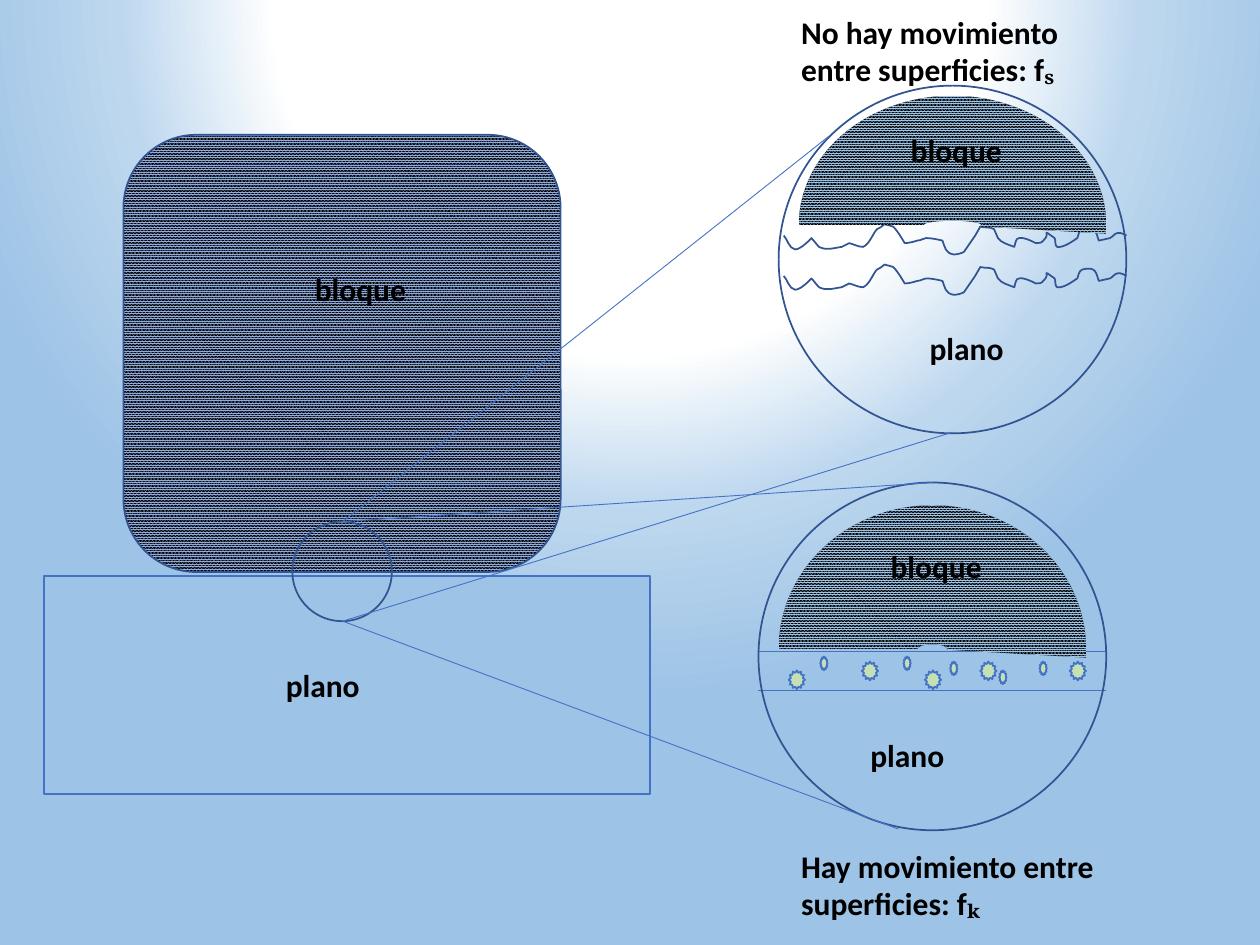
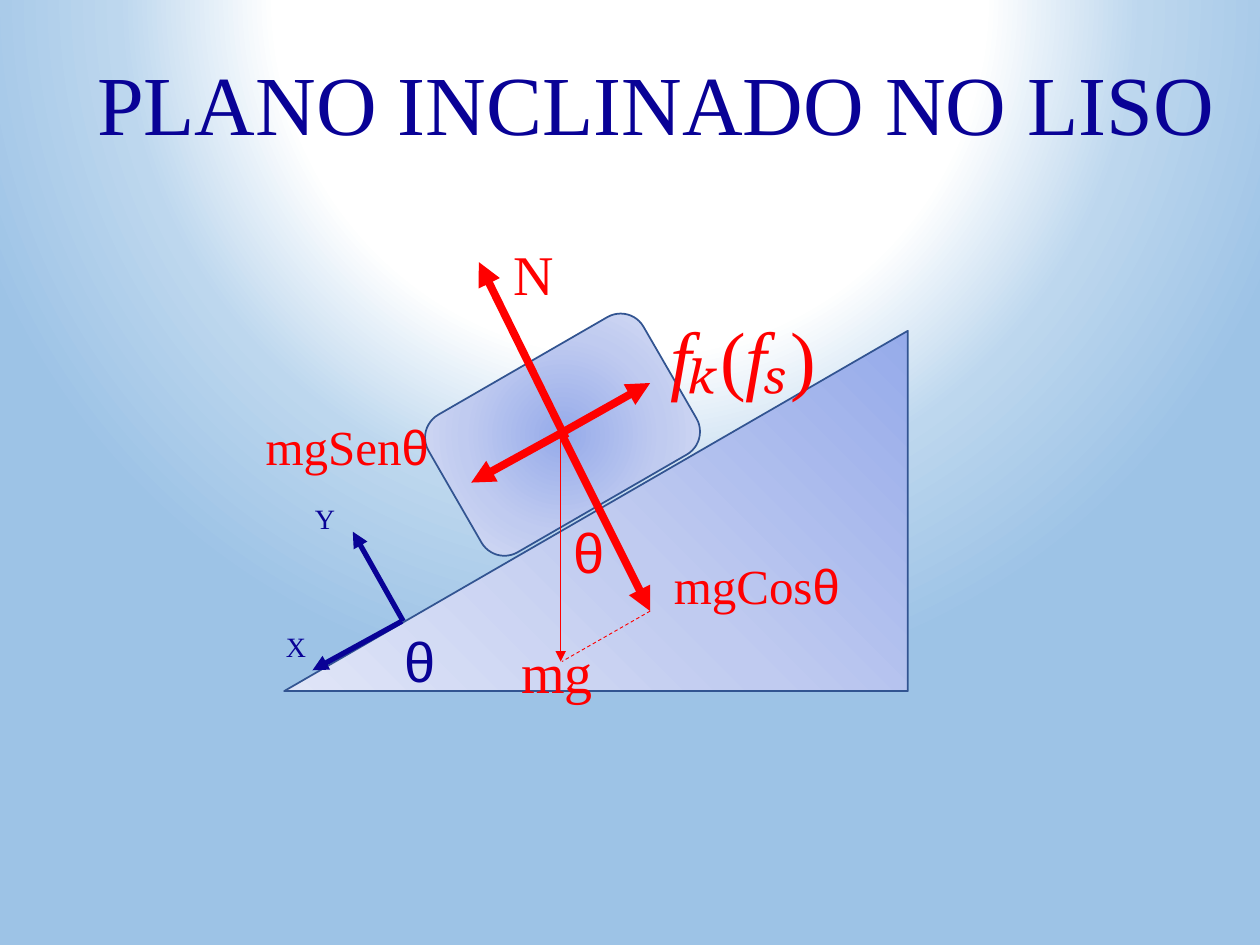
from pptx import Presentation
from pptx.dml.color import RGBColor
from pptx.enum.dml import MSO_LINE, MSO_PATTERN
from pptx.enum.shapes import MSO_CONNECTOR, MSO_SHAPE as SHAPE
from pptx.enum.text import MSO_ANCHOR, MSO_AUTO_SIZE, PP_ALIGN
from pptx.oxml import parse_xml
from pptx.oxml.ns import nsdecls, qn
from pptx.util import Inches, Pt

COLORS = {
    "outline": "325491", "blue": "4472C4", "block": "8FAADC", "plane": "9DC3E6",
    "haze": "BDD7EE", "white": "FFFFFF", "black": "000000", "grain": "C5E0B4",
    "navy": "090296", "force": "FF0000",
    "dark": "96ABEA", "middle": "C0CBF0", "light": "E0E5F7",
}
RGB = {name: RGBColor.from_string(value) for name, value in COLORS.items()}
SERIF, SANS, BODY = "Times New Roman", "Arial", "Calibri"


def write_text(box, at, runs, **formats):
    """Place a text box or placeholder and fill it with (text, overrides) runs."""
    for name, value in zip(("left", "top", "width", "height"), at):
        setattr(box, name, Inches(value))
    frame = box.text_frame
    frame_formats = {"word_wrap": True, "auto_size": MSO_AUTO_SIZE.SHAPE_TO_FIT_TEXT,
                     "vertical_anchor": MSO_ANCHOR.TOP}
    for name, value in frame_formats.items():
        setattr(frame, name, value)
    para = frame.paragraphs[0]
    para.alignment = PP_ALIGN.LEFT
    for text, overrides in runs:
        span = para.add_run()
        span.text = text
        merged = {**formats, **overrides}
        span.font.color.rgb = RGB[merged.pop("color")]
        span.font.size = Pt(merged.pop("size"))
        for name, value in merged.items():
            setattr(span.font, name, value)


def draw_line(slide, start, end, color, width, arrow=False, dash=None):
    """Draw a straight line, with an arrowhead at its end if asked."""
    line = slide.shapes.add_connector(
        MSO_CONNECTOR.STRAIGHT, *(Inches(value) for value in (*start, *end)))
    line.line.color.rgb = RGB[color]
    line.line.width = Pt(width)
    if dash:
        line.line.dash_style = dash
    properties = line._element.spPr
    if arrow:
        properties.find(qn("a:ln")).append(
            parse_xml(f'<a:tailEnd {nsdecls("a")} type="triangle"/>'))
    properties.append(parse_xml(f'<a:effectLst {nsdecls("a")}/>'))


deck = Presentation()
deck.slide_width, deck.slide_height = Inches(10), Inches(7.5)
master = deck.slide_master
contact = deck.slides.add_slide(deck.slide_layouts[6])
incline = deck.slides.add_slide(deck.slide_layouts[5])

# Contact slide: rough surfaces, in hundredths of an inch.
# Six numbers are a curve, two are a straight line.
ROUGH_START = (622, 187)
ROUGH_SEGMENTS = [
    (625, 190, 626, 197, 631, 198), (636, 198, 644, 189, 644, 189),
    (646, 191, 648, 194, 650, 196), (656, 199, 661, 197, 668, 196),
    (670, 195, 672, 194, 674, 193), (678, 194, 681, 196, 685, 196),
    (690, 194, 693, 185, 696, 182), (698, 181, 700, 180, 702, 178),
    (705, 179, 707, 179, 709, 180), (713, 184, 718, 193, 718, 193),
    (721, 193, 725, 192, 728, 191), (731, 191, 733, 189, 735, 189),
    (739, 189, 744, 190, 748, 191), (750, 196, 750, 201, 757, 202),
    (760, 202, 763, 201, 765, 200), (774, 187), (778, 180),
    (782, 181, 786, 180, 789, 182), (791, 184, 790, 187, 792, 189),
    (795, 193, 800, 194, 805, 196), (806, 193, 806, 189, 809, 189),
    (813, 188, 822, 193, 822, 193), (824, 193, 827, 193, 828, 191),
    (835, 185, 825, 181, 837, 189), (838, 191, 837, 195, 839, 196),
    (844, 197, 852, 191, 855, 189), (856, 187, 856, 183, 859, 182),
    (870, 179, 870, 185, 872, 191), (875, 190, 878, 190, 881, 189),
    (883, 188, 885, 185, 887, 185), (889, 184, 894, 187, 894, 187),
]
rough_points = [ROUGH_START]
for segment in ROUGH_SEGMENTS:
    rough_points += zip(segment[::2], segment[1::2])

for drop in (0, 0.32):
    points = [(Inches(x / 100), Inches(y / 100 + drop)) for x, y in rough_points]
    builder = contact.shapes.build_freeform(*points[0])
    builder.add_line_segments(points[1:], close=False)
    surface = builder.convert_to_shape()
    surface.shadow.inherit = False
    surface.fill.background()
    surface.line.color.rgb = RGB["outline"]
    surface.line.width = Pt(1)
    # Join each three points of a curve into one cubic segment
    outline_path = surface._element.find(".//" + qn("a:path"))
    steps = iter(outline_path.findall(qn("a:lnTo")))
    for segment in ROUGH_SEGMENTS:
        curve = next(steps)
        if len(segment) == 6:
            curve.tag = qn("a:cubicBezTo")
            for _ in range(2):
                step = next(steps)
                curve.append(step[0])
                outline_path.remove(step)

# Edges of the gap between the sliding surfaces
for y in (5.48, 5.17):
    draw_line(contact, (6.02, y), (8.78, y), "blue", 0.5)

# Block, plane, magnified views and grains: kind, place, pattern, fill, outline
bodies = [
    (SHAPE.ROUNDED_RECTANGLE, (0.98, 1.07, 3.47, 3.47), "block", None, "outline"),
    (SHAPE.RECTANGLE, (0.35, 4.57, 4.81, 1.73), None, "plane", "blue"),
    (SHAPE.OVAL, (6.18, 0.68, 2.76, 2.76), None, None, "outline"),
    (SHAPE.OVAL, (6.02, 3.83, 2.76, 2.76), None, None, "outline"),
    (SHAPE.BLOCK_ARC, (6.34, 0.76, 2.44, 2.05), "plane", None, None),
    (SHAPE.BLOCK_ARC, (6.18, 4.01, 2.44, 2.28), "plane", None, None),
]
small_grains = [(6.51, 5.21), (7.17, 5.21), (7.54, 5.25), (7.93, 5.32), (8.25, 5.25)]
large_grains = [(6.84, 5.25), (7.78, 5.25), (6.26, 5.32), (7.34, 5.32), (8.49, 5.25)]
for spots, size in ((small_grains, (0.06, 0.11)), (large_grains, (0.13, 0.15))):
    bodies += [(SHAPE.STAR_12_POINT, spot + size, None, "grain", "blue") for spot in spots]
bodies.append((SHAPE.OVAL, (2.32, 4.14, 0.79, 0.79), None, None, "outline"))

for kind, at, pattern, fill, outline in bodies:
    body = contact.shapes.add_shape(kind, *(Inches(value) for value in at))
    body.shadow.inherit = False
    if pattern:
        body.fill.patterned()
        body.fill.pattern = MSO_PATTERN.PERCENT_90
        body.fill.fore_color.rgb = RGB[pattern]
        body.fill.back_color.rgb = RGB["black"]
    elif fill:
        body.fill.solid()
        body.fill.fore_color.rgb = RGB[fill]
    else:
        body.fill.background()
    if outline:
        body.line.color.rgb = RGB[outline]
        body.line.width = Pt(1)
    else:
        body.line.fill.background()
    if kind == SHAPE.BLOCK_ARC:
        for index, value in enumerate((108, 1.961, 0.484)):
            body.adjustments[index] = value
    if kind == SHAPE.STAR_12_POINT:
        body._element.spPr.find(qn("a:xfrm")).set("flipH", "1")

# Names of the bodies and captions
names = [("bloque", 2.4, 2.09), ("bloque", 6.97, 4.29), ("bloque", 7.13, 0.99),
         ("plano", 6.81, 5.79), ("plano", 7.28, 2.56), ("plano", 2.17, 5.24)]
contact_labels = [((left, top, 1.1, 0.4), [(name, {})]) for name, left, top in names]
captions = [("No hay movimiento entre superficies: f", "ₛ", 0.05),
            ("Hay movimiento entre superficies: f", "ₖ", 6.67)]
contact_labels += [((6.26, top, 2.76, 0.71), [(caption, {}), (index, {"name": SERIF})])
                   for caption, index, top in captions]
for at, runs in contact_labels:
    write_text(contact.shapes.add_textbox(0, 0, 0, 0), at, runs,
               size=18, name=BODY, color="black", bold=True)

# Sight lines from the contact spot to the magnified views
spot_top, spot_bottom = (2.72, 4.14), (2.72, 4.93)
for start, end in [(spot_top, (6.58, 1.08)), (spot_bottom, (7.56, 3.43)),
                   (spot_top, (7.4, 3.83)), (spot_bottom, (7.13, 6.58))]:
    draw_line(contact, start, end, "blue", 0.5)

# Incline slide: title
title = incline.shapes.title
write_text(title, (0.67, 0.36, 9.16, 0.91), [("PLANO INCLINADO NO LISO", {})],
           size=48, name=SERIF, color="navy")
title.text_frame.word_wrap = False

# Sliding block and wedge
solids = []
for kind, at, turn in [(SHAPE.ROUNDED_RECTANGLE, (3.48, 2.82, 1.97, 1.26), 330),
                       (SHAPE.RIGHT_TRIANGLE, (3.3, 1.58, 2.86, 4.95), 270)]:
    solid = incline.shapes.add_shape(kind, *(Inches(value) for value in at))
    solid.rotation = turn
    solid.shadow.inherit = False
    solid.line.color.rgb = RGB["outline"]
    solid.line.width = Pt(1)
    solids.append(solid)
block, wedge = solids

# Gradients of the shared background, the block and the wedge
sky = [(45, "white"), (65, "haze"), (89, "plane")]
metal = [(0, "dark"), (50, "middle"), (100, "light")]
circle = '<a:path {} path="circle"><a:fillToRect l="50000" t="{}" r="50000" b="{}"/></a:path>'
namespace = nsdecls("a")
for fill, element, stops, shade in [
    (master.background.fill, master.element, sky, circle.format(namespace, -80000, 180000)),
    (block.fill, block._element, metal, circle.format(namespace, 50000, 50000)),
    (wedge.fill, wedge._element, metal, f'<a:lin {namespace} ang="13500000" scaled="0"/>'),
]:
    fill.gradient()
    gradient = element.find(".//" + qn("a:gradFill"))
    for child in list(gradient):
        gradient.remove(child)
    stop_list = "".join(
        f'<a:gs pos="{place * 1000}"><a:srgbClr val="{COLORS[color]}"/></a:gs>'
        for place, color in stops)
    gradient.append(parse_xml(f"<a:gsLst {namespace}>{stop_list}</a:gsLst>"))
    gradient.append(parse_xml(shade))

# Forces and axes
center = (4.45, 3.44)
for start, end, color, width in [
    (center, (4.45, 5.25), "force", 0.5),
    ((4.46, 3.45), (5.16, 4.85), "force", 4.5),
    ((4.49, 3.48), (3.8, 2.08), "force", 4.5),
    (center, (3.74, 3.83), "force", 4.5),
    (center, (5.16, 3.04), "force", 4.5),
    ((3.19, 4.93), (2.48, 5.32), "navy", 3),
    ((3.2, 4.93), (2.8, 4.22), "navy", 3),
]:
    draw_line(incline, start, end, color, width, arrow=True)
draw_line(incline, (5.16, 4.85), (4.46, 5.25), "force", 0.5, dash=MSO_LINE.DASH)

# Names of the forces, angles and axes
theta = ("θ", {"name": SANS})
slanted = {"italic": True}
for at, runs, size, color in [
    ((3.11, 4.92, 0.78, 0.65), [theta], 32, "navy"),
    ((4.45, 4.06, 0.8, 0.64), [theta], 32, "force"),
    ((2.4, 3.93, 0.51, 0.37), [("Y", {})], 16, "navy"),
    ((2.17, 4.95, 0.51, 0.37), [("X", {})], 16, "navy"),
    ((5.25, 4.36, 1.95, 0.57), [("mgCos", {}), theta], 28, "force"),
    ((2.01, 3.26, 1.95, 0.57), [("mgSen", {}), theta], 28, "force"),
    ((3.98, 1.85, 0.54, 0.64), [("N", {})], 32, "force"),
    ((4.04, 5.01, 0.96, 0.64), [("mg", {})], 32, "force"),
    ((5.22, 2.41, 1.45, 0.84),
     [("fₖ", slanted), ("(", {}), ("fₛ", slanted), (")", {})], 44, "force"),
]:
    write_text(incline.shapes.add_textbox(0, 0, 0, 0), at, runs,
               size=size, name=SERIF, color=color)

deck.save("out.pptx")
